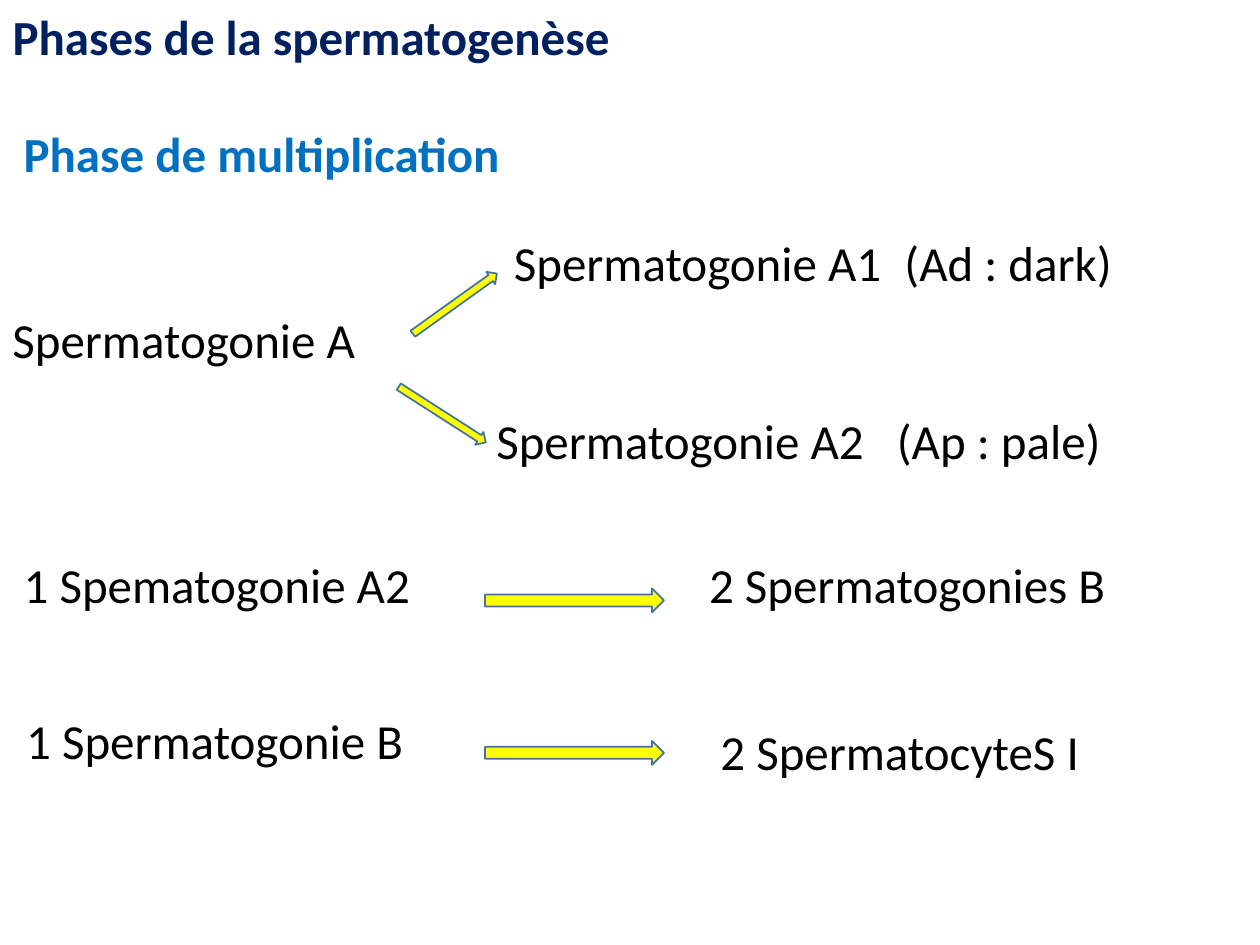
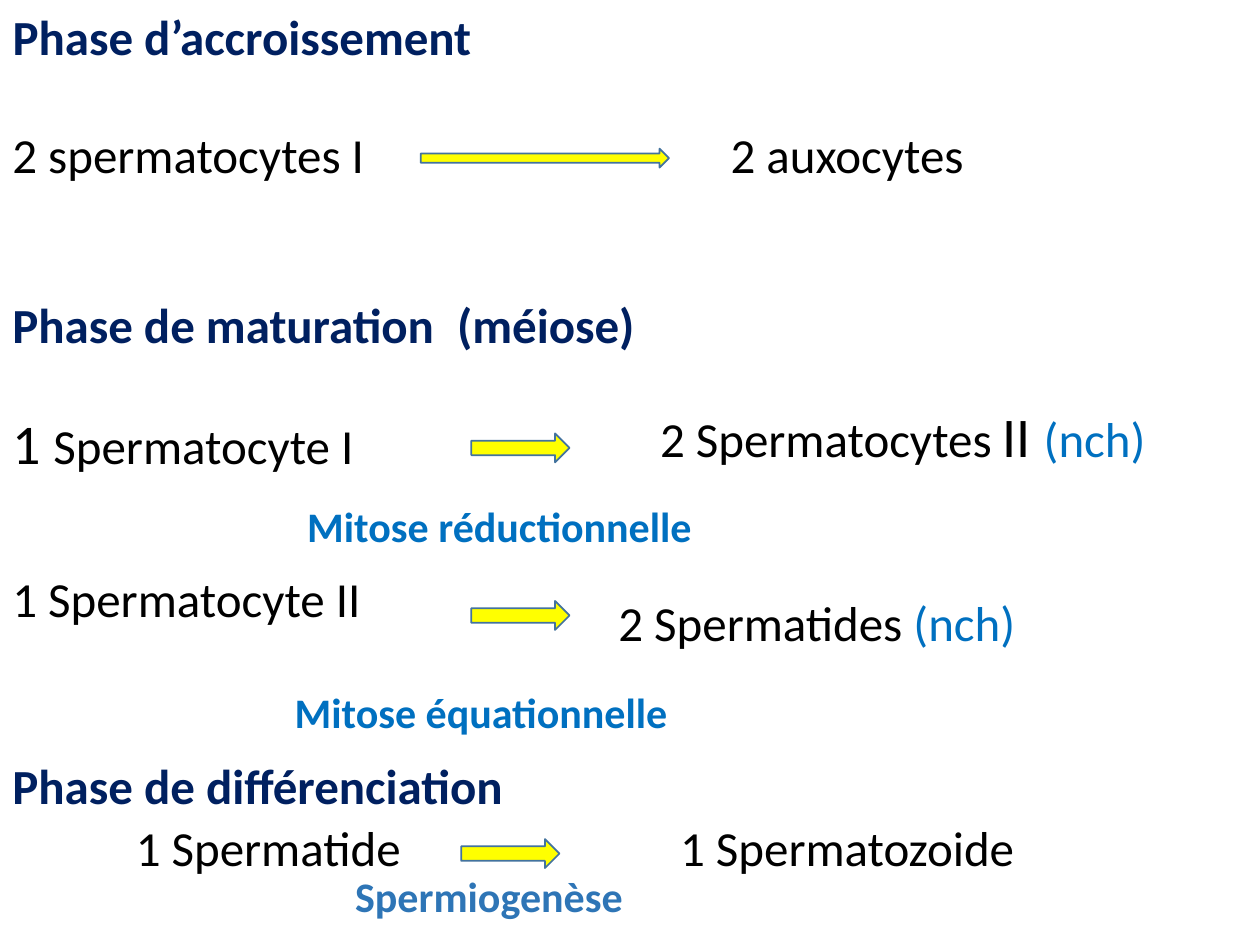
"""Build two slides on the phases of spermatogenesis."""
from pptx import Presentation
from pptx.dml.color import RGBColor
from pptx.enum.shapes import MSO_SHAPE
from pptx.enum.text import MSO_ANCHOR, MSO_AUTO_SIZE, PP_ALIGN
from pptx.util import Inches, Pt

RIGHT_ARROW = MSO_SHAPE.RIGHT_ARROW
TOP = MSO_ANCHOR.TOP
NO_AUTOFIT = MSO_AUTO_SIZE.NONE
LEFT = PP_ALIGN.LEFT

FONT = "Calibri"
NAVY, BLUE, STEEL, BLACK = "002060", "0070C0", "2E75B6", "000000"
YELLOW, ARROW_EDGE = "FFFF00", "43739E"
TITLE_SIZE, CAPTION_SIZE, LARGE_SIZE = 28, 24, 32
LINE_HEIGHT = {24: 0.5, 28: 0.57, 32: 0.64}


def rgb(value):
    """Turn a hex string into a colour."""
    return RGBColor.from_string(value)


def write(label, left, top, width, runs, bold=False):
    """Place a one-line label and fill it with (text, size, colour) runs."""
    label.left, label.top, label.width = Inches(left), Inches(top), Inches(width)
    label.height = Inches(LINE_HEIGHT[max(size for _, size, _ in runs)])
    frame = label.text_frame
    frame.word_wrap = True
    frame.auto_size = NO_AUTOFIT
    frame.vertical_anchor = TOP
    line = frame.paragraphs[0]
    line.alignment = LEFT
    for text, size, colour in runs:
        run = line.add_run()
        run.text = text
        run.font.name = FONT
        run.font.size = Pt(size)
        run.font.bold = bold
        run.font.color.rgb = rgb(colour)


multiplication = {
    "title": "Phases de la spermatogenèse",
    "headings": [(0.09, 0.93, 4.2, "Phase de multiplication", TITLE_SIZE, BLUE)],
    "cells": [
        (0, 2.41, 2.95, "Spermatogonie A"),
        (3.98, 1.8, 3.15, "Spermatogonie A1"),
        (7.08, 1.8, 2, "(Ad : dark)"),
        (3.84, 3.21, 3.15, "Spermatogonie A2"),
        (7.02, 3.21, 2, "(Ap : pale)"),
        (0.09, 4.35, 3.4, "1 Spematogonie A2"),
        (5.53, 4.35, 3.5, "2 Spermatogonies B"),
        (0.11, 5.59, 3.31, "1 Spermatogonie B"),
        (5.62, 5.68, 3.17, "2 SpermatocyteS I"),
    ],
    "mixed": [],
    "arrows": [
        (3.2, 2.35, 0.82, 0.12, -35.6),
        (3.1, 3.23, 0.82, 0.12, 32.7),
        (3.85, 4.67, 1.42, 0.19, 0),
        (3.85, 5.88, 1.42, 0.19, 0),
    ],
}

maturation = {
    "title": "Phase d’accroissement",
    "headings": [
        (0, 2.29, 3.6, "Phase de maturation", TITLE_SIZE, NAVY),
        (3.53, 2.29, 1.7, "(méiose)", TITLE_SIZE, NAVY),
        (0, 5.95, 4.25, "Phase de différenciation", TITLE_SIZE, NAVY),
        (2.34, 3.92, 3.4, "Mitose réductionnelle", CAPTION_SIZE, BLUE),
        (2.24, 5.4, 3.3, "Mitose équationnelle", CAPTION_SIZE, BLUE),
        (2.72, 6.86, 2.45, "Spermiogenèse", CAPTION_SIZE, STEEL),
    ],
    "cells": [
        (0, 0.94, 3.1, "2 spermatocytes I"),
        (5.7, 0.94, 2.2, "2 auxocytes"),
        (0, 4.46, 3.1, "1 Spermatocyte II"),
        (0.98, 6.44, 2.4, "1 Spermatide"),
        (5.3, 6.44, 3, "1 Spermatozoide"),
    ],
    "mixed": [
        (0, 3.19, 3.1, [("1 ", LARGE_SIZE, BLACK),
                        ("Spermatocyte I", TITLE_SIZE, BLACK)]),
        (5.14, 3.14, 4.25, [("2 Spermatocytes ", TITLE_SIZE, BLACK),
                            ("II ", LARGE_SIZE, BLACK),
                            ("(nch)", TITLE_SIZE, BLUE)]),
        (4.81, 4.65, 3.5, [("2 Spermatides ", TITLE_SIZE, BLACK),
                           ("(nch)", TITLE_SIZE, BLUE)]),
    ],
    "arrows": [
        (3.34, 1.18, 1.97, 0.15, 0),
        (3.74, 3.44, 0.78, 0.23, 0),
        (3.74, 4.77, 0.78, 0.23, 0),
        (3.66, 6.66, 0.78, 0.23, 0),
    ],
}

prs = Presentation()
prs.slide_width, prs.slide_height = Inches(10), Inches(7.5)
title_only = prs.slide_layouts[5]

for phase in (multiplication, maturation):
    slide = prs.slides.add_slide(title_only)
    write(slide.shapes.title, 0, 0, 6, [(phase["title"], TITLE_SIZE, NAVY)], bold=True)

    for left, top, width, text, size, colour in phase["headings"]:
        heading = slide.shapes.add_textbox(0, 0, 0, 0)
        write(heading, left, top, width, [(text, size, colour)], bold=True)

    plain = [(left, top, width, [(text, TITLE_SIZE, BLACK)])
             for left, top, width, text in phase["cells"]]
    for left, top, width, runs in plain + phase["mixed"]:
        cell = slide.shapes.add_textbox(0, 0, 0, 0)
        write(cell, left, top, width, runs)

    for left, top, width, height, angle in phase["arrows"]:
        arrow = slide.shapes.add_shape(
            RIGHT_ARROW, Inches(left), Inches(top), Inches(width), Inches(height))
        arrow.rotation = angle
        arrow.shadow.inherit = False
        arrow.fill.solid()
        arrow.fill.fore_color.rgb = rgb(YELLOW)
        arrow.line.color.rgb = rgb(ARROW_EDGE)
        arrow.line.width = Pt(1)

prs.save("out.pptx")
